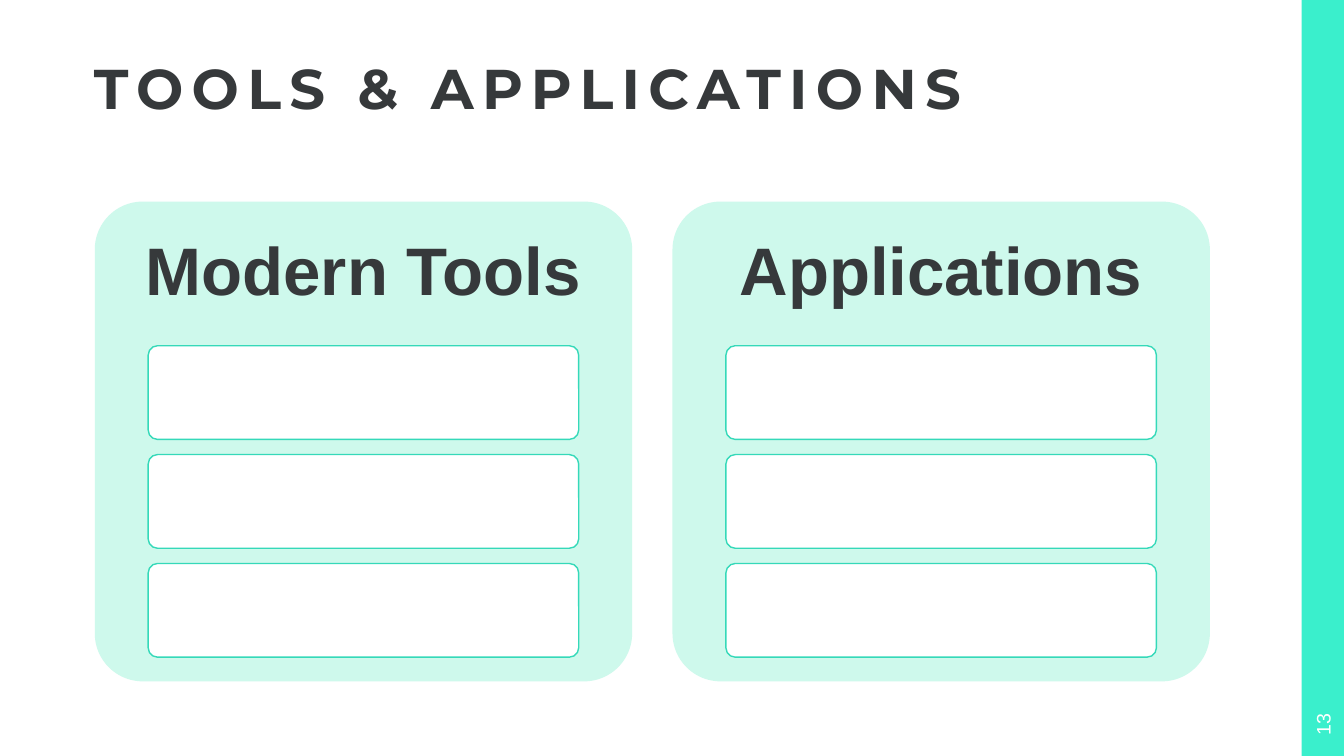
from pptx import Presentation
from pptx.dml.color import RGBColor
from pptx.enum.shapes import MSO_SHAPE
from pptx.enum.text import MSO_ANCHOR, MSO_AUTO_SIZE, PP_ALIGN
from pptx.util import Pt

PX = 9144
WHITE = RGBColor(0xFF, 0xFF, 0xFF)
DARK = RGBColor(0x36, 0x39, 0x3B)
TURQUOISE = RGBColor(0x3A, 0xEF, 0xCC)
MINT = RGBColor(0xCE, 0xF9, 0xEC)
OUTLINE = RGBColor(0x35, 0xD9, 0xB9)
RECTANGLE = MSO_SHAPE.RECTANGLE
ROUNDED = MSO_SHAPE.ROUNDED_RECTANGLE
MIDDLE = MSO_ANCHOR.MIDDLE
NO_AUTOFIT = MSO_AUTO_SIZE.NONE
LEFT = PP_ALIGN.LEFT
CENTER = PP_ALIGN.CENTER

TITLE_FONT = {"name": "Montserrat", "size": Pt(40), "bold": True}
HEADING_FONT = {"name": "Arial", "size": Pt(48), "bold": True}
NUMBER_FONT = {"name": "Arial", "size": Pt(14), "bold": False}

PANELS = ["Modern Tools", "Applications"]
ROW_COUNT = 3
ROW_HEIGHT = 93
ROW_PITCH = 108
HEADING_HEIGHT = 143


def scale(box):
    return [length * PX for length in box]


def set_attributes(target, values):
    for name, value in values.items():
        setattr(target, name, value)


def write_text(shape, text, font, color, alignment, margin, spacing):
    frame = shape.text_frame
    set_attributes(frame, {
        "text": text, "word_wrap": True, "auto_size": NO_AUTOFIT,
        "vertical_anchor": MIDDLE,
        "margin_left": margin * PX, "margin_right": margin * PX,
        "margin_top": margin * PX, "margin_bottom": margin * PX,
    })
    paragraph = frame.paragraphs[0]
    set_attributes(paragraph, {"alignment": alignment, "line_spacing": spacing})
    run = paragraph.runs[0]
    set_attributes(run.font, font)
    run.font.color.rgb = color
    return run


def add_block(shapes, kind, box, fill, outline=None):
    block = shapes.add_shape(kind, *scale(box))
    block.shadow.inherit = False
    block.fill.solid()
    block.fill.fore_color.rgb = fill
    if outline is None:
        block.line.fill.background()
    else:
        block.line.color.rgb = outline
        block.line.width = Pt(1)
    if kind == ROUNDED:
        block.adjustments[0] = 0.1


def add_title(slide, box):
    title = slide.shapes.title
    set_attributes(title, dict(zip(("left", "top", "width", "height"), scale(box))))
    run = write_text(title, "TOOLS & APPLICATIONS", TITLE_FONT, DARK, LEFT, 0, 0.9)
    run.font._element.set("spc", "600")


def add_side_bar(slide, box):
    left, top, width, height = box
    add_block(slide.shapes, RECTANGLE, box, TURQUOISE)
    number = slide.shapes.add_textbox(*scale((left - 10, top + height - 52, 62, 42)))
    number.rotation = 270
    write_text(number, "13", NUMBER_FONT, WHITE, CENTER, 5, 1.0)


def add_panel(slide, box, heading):
    left, top, width, height = box
    shapes = slide.shapes.add_group_shape().shapes
    add_block(shapes, ROUNDED, box, MINT)
    heading_box = shapes.add_textbox(*scale((left, top, width, HEADING_HEIGHT)))
    write_text(heading_box, heading, HEADING_FONT, DARK, CENTER, 20, 0.9)
    inset = width // 10
    for row in range(ROW_COUNT):
        row_top = top + HEADING_HEIGHT + row * ROW_PITCH
        row_box = (left + inset, row_top, width - 2 * inset, ROW_HEIGHT)
        add_block(shapes, ROUNDED, row_box, WHITE, OUTLINE)


def main():
    presentation = Presentation()
    presentation.slide_width, presentation.slide_height = scale((1333, 750))
    slide = presentation.slides.add_slide(presentation.slide_layouts[5])
    slide.background.fill.solid()
    slide.background.fill.fore_color.rgb = WHITE
    add_side_bar(slide, (1291, 0, 42, 750))
    add_title(slide, (93, 35, 1078, 112))
    for index, heading in enumerate(PANELS):
        add_panel(slide, (94 + index * 573, 200, 533, 476), heading)
    presentation.save("out.pptx")


if __name__ == "__main__":
    main()
